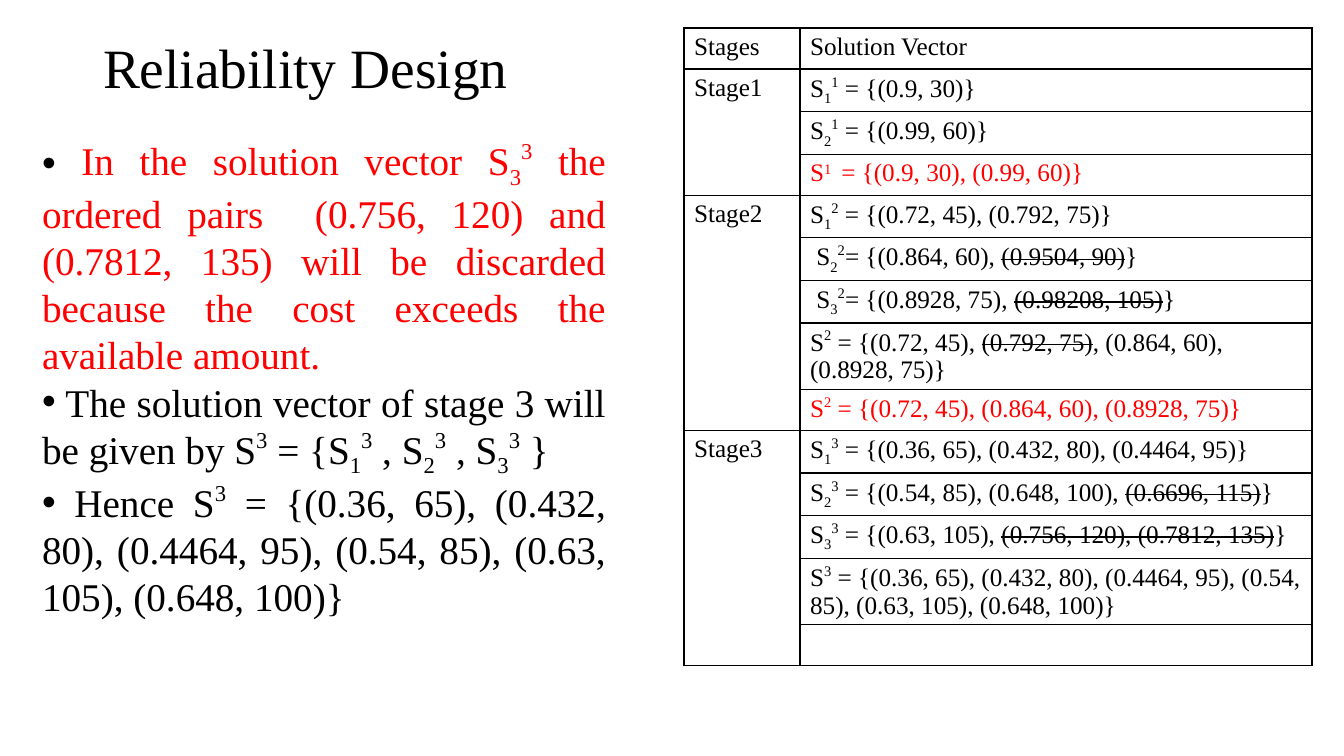
from lxml.etree import SubElement
from pptx import Presentation
from pptx.dml.color import RGBColor
from pptx.enum.text import MSO_ANCHOR, MSO_AUTO_SIZE, PP_ALIGN
from pptx.oxml.ns import qn
from pptx.util import Pt

COLORS = {"black": "000000", "red": "FF0000"}
FONT = "Times New Roman"
MARKS = {
    "_": {"baseline": "-25000"},
    "^": {"baseline": "40000"},
    "+": {"baseline": "30000"},
    "~": {"strike": "sngStrike"},
}

TITLE = "Reliability Design"
BULLETS = [
    ("red", " In the solution vector S|_3|^3| the ordered pairs  (0.756, 120) and (0.7812, 135) "
            "will be discarded because the cost exceeds the available amount."),
    ("black", " The solution vector of stage 3 will be given by S|^3| = {S|_1|^3| , S|_2|^3| , S|_3|^3| } "),
    ("black", " Hence S|^3| = {(0.36, 65), (0.432, 80), (0.4464, 95), (0.54, 85), "
              "(0.63, 105), (0.648, 100)}"),
]
STAGES = [
    ("Stages", [("black", "Solution Vector")]),
    ("Stage1", [
        ("black", "S|_1|^1| = {(0.9, 30)}"),
        ("black", "S|_2|^1| = {(0.99, 60)}"),
        ("red", "S|+1 | = {(0.9, 30), (0.99, 60)}"),
    ]),
    ("Stage2", [
        ("black", "S|_1|^2| = {(0.72, 45), (0.792, 75)}"),
        ("black", " S|_2|^2|= {(0.864, 60), |~(0.9504, 90)|}"),
        ("black", " S|_3|^2|= {(0.8928, 75), |~(0.98208, 105)|}"),
        ("black", "S|^2| = {(0.72, 45), |~(0.792, 75)|, (0.864, 60), (0.8928, 75)}"),
        ("red", "S|^2| = {(0.72, 45), (0.864, 60), (0.8928, 75)}"),
    ]),
    ("Stage3", [
        ("black", "S|_1|^3| = {(0.36, 65), (0.432, 80), (0.4464, 95)}"),
        ("black", "S|_2|^3| = {(0.54, 85), (0.648, 100), |~(0.6696, 115)|}"),
        ("black", "S|_3|^3| = {(0.63, 105), |~(0.756, 120), (0.7812, 135)|}"),
        ("black", "S|^3| = {(0.36, 65), (0.432, 80), (0.4464, 95), (0.54, 85), "
                  "(0.63, 105), (0.648, 100)}"),
        ("black", ""),
    ]),
]
TITLE_BOX = (93, 40, 597, 61)
BODY_BOX = (32, 131, 584, 532)
TABLE_AT = (684, 28)
COLUMNS = (116, 512)
ROW = 41


def px(n):
    return round(n * 914400 / 100.8)


def assign(obj, values):
    for name, value in values.items():
        setattr(obj, name, value)


def place(sp, box, anchor):
    assign(sp, dict(zip(("left", "top", "width", "height"), map(px, box))))
    assign(sp.text_frame, {"word_wrap": True, "auto_size": MSO_AUTO_SIZE.NONE,
                           "vertical_anchor": anchor})


def write(p, text, size, color="black"):
    for piece in filter(None, text.split("|")):
        mark = MARKS.get(piece[0], {})
        r = p.add_run()
        r.text = piece[1:] if mark else piece
        assign(r.font, {"size": Pt(size), "name": FONT})
        r.font.color.rgb = RGBColor.from_string(COLORS[color])
        for name, value in mark.items():
            r.font._element.set(name, value)


def add_bullet(p):
    pPr = p._p.get_or_add_pPr()
    pPr.set("marL", "0")
    pPr.set("indent", "0")
    clr = SubElement(pPr, qn("a:buClr"))
    SubElement(clr, qn("a:srgbClr"), val=COLORS["black"])
    SubElement(pPr, qn("a:buFont"), typeface="Arial")
    SubElement(pPr, qn("a:buChar"), char="•")


def add_borders(cell):
    tcPr = cell._tc.get_or_add_tcPr()
    for side in "LRTB":
        ln = SubElement(tcPr, qn(f"a:ln{side}"), w=str(Pt(1)))
        fill = SubElement(ln, qn("a:solidFill"))
        SubElement(fill, qn("a:srgbClr"), val=COLORS["black"])


def add_stage_table(s):
    count = sum(len(vectors) for _, vectors in STAGES)
    size = (sum(COLUMNS), count * ROW)
    table = s.shapes.add_table(count, 2, *map(px, TABLE_AT + size)).table
    assign(table, {"first_row": False, "horz_banding": False})
    for col, width in zip(table.columns, COLUMNS):
        col.width = px(width)
    for row in table.rows:
        row.height = px(ROW)
    for cell in table.iter_cells():
        add_borders(cell)
        cell.fill.background()
    top = 0
    for stage, vectors in STAGES:
        head = table.cell(top, 0)
        if len(vectors) > 1:
            head.merge(table.cell(top + len(vectors) - 1, 0))
        write(head.text_frame.paragraphs[0], stage, 18)
        for i, (color, text) in enumerate(vectors, top):
            write(table.cell(i, 1).text_frame.paragraphs[0], text, 18, color)
        top += len(vectors)


def main():
    prs = Presentation()
    assign(prs, {"slide_width": px(1344), "slide_height": px(756)})
    s = prs.slides.add_slide(prs.slide_layouts[1])
    title, body = s.placeholders

    place(title, TITLE_BOX, MSO_ANCHOR.MIDDLE)
    p = title.text_frame.paragraphs[0]
    assign(p, {"alignment": PP_ALIGN.LEFT, "line_spacing": 0.9})
    write(p, TITLE, 39.6)

    add_stage_table(s)

    place(body, BODY_BOX, MSO_ANCHOR.TOP)
    tf = body.text_frame
    for i, (color, text) in enumerate(BULLETS):
        p = tf.add_paragraph() if i else tf.paragraphs[0]
        add_bullet(p)
        assign(p, {"alignment": PP_ALIGN.JUSTIFY, "line_spacing": 1.0, "space_before": Pt(0)})
        write(p, text, 28, color)

    prs.save("out.pptx")


if __name__ == "__main__":
    main()
